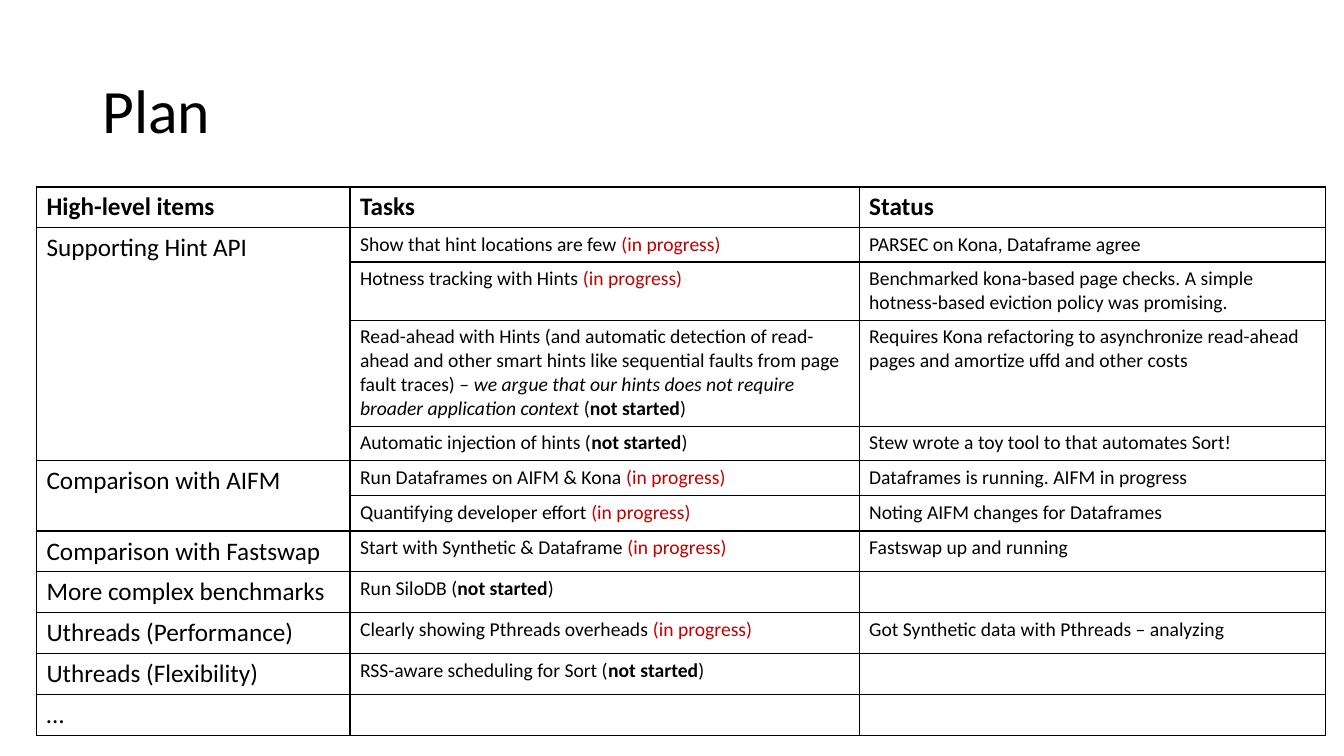
from pptx import Presentation
from pptx import util as u
from pptx.dml.color import RGBColor
from pptx.enum import text
from pptx.oxml import parse_xml
from pptx.oxml.ns import nsdecls

BLACK = RGBColor(0x00, 0x00, 0x00)
RED = RGBColor(0xC0, 0x00, 0x00)
FONT = "Calibri"

# Run styles
PLAIN, BOLD, ITALIC = {}, {"bold": True}, {"italic": True}
IN_PROGRESS = [("(in progress)", {"color": RED})]
NOT_STARTED = [("(", PLAIN), ("not started", BOLD), (")", PLAIN)]

# Content: high-level item, then its (task runs, status, row height in cm)
HEADINGS = ["High-level items", "Tasks", "Status"]
HEADING_HEIGHT = 1.03
COLUMN_WIDTHS = [7.9, 12.83, 11.76]
PLAN = [
    ("Supporting Hint API", [
        ([("Show that hint locations are few ", PLAIN)] + IN_PROGRESS,
         "PARSEC on Kona, Dataframe agree", 0.86),
        ([("Hotness tracking with Hints ", PLAIN)] + IN_PROGRESS,
         "Benchmarked kona-based page checks. A simple hotness-based "
         "eviction policy was promising.", 1.47),
        ([("Read-ahead with Hints (and automatic detection of read-ahead and "
           "other smart hints like sequential faults from page fault traces) – ", PLAIN),
          ("we argue that our hints does not require broader application context ",
           ITALIC)] + NOT_STARTED,
         "Requires Kona refactoring to asynchronize read-ahead pages and "
         "amortize uffd and other costs", 2.67),
        ([("Automatic injection of hints ", PLAIN)] + NOT_STARTED,
         "Stew wrote a toy tool to that automates Sort!", 0.86),
    ]),
    ("Comparison with AIFM", [
        ([("Run Dataframes on AIFM & Kona ", PLAIN)] + IN_PROGRESS,
         "Dataframes is running. AIFM in progress", 0.89),
        ([("Quantifying developer effort ", PLAIN)] + IN_PROGRESS,
         "Noting AIFM changes for Dataframes", 0.89),
    ]),
    ("Comparison with Fastswap", [
        ([("Start with Synthetic & Dataframe ", PLAIN)] + IN_PROGRESS,
         "Fastswap up and running", 1.03)]),
    ("More complex benchmarks", [
        ([("Run SiloDB ", PLAIN)] + NOT_STARTED, "", 1.03)]),
    ("Uthreads (Performance)", [
        ([("Clearly showing Pthreads overheads ", PLAIN)] + IN_PROGRESS,
         "Got Synthetic data with Pthreads – analyzing", 1.03)]),
    ("Uthreads (Flexibility)", [
        ([("RSS-aware scheduling for Sort ", PLAIN)] + NOT_STARTED, "", 1.03)]),
    ("…", [([], "", 1.03)]),
]


class PlanSlide:
    def __init__(self, deck):
        self.slide = deck.slides.add_slide(deck.slide_layouts[5])

    def add_runs(self, paragraph, runs, size):
        for words, style in runs:
            run = paragraph.add_run()
            run.text = words
            run.font.name = FONT
            run.font.size = u.Pt(size)
            run.font.bold = style.get("bold", False)
            run.font.italic = style.get("italic", False)
            run.font.color.rgb = style.get("color", BLACK)

    def title(self, words, left, top, width, height):
        title = self.slide.shapes.title
        title.left, title.top = u.Cm(left), u.Cm(top)
        title.width, title.height = u.Cm(width), u.Cm(height)
        frame = title.text_frame
        frame.auto_size = text.MSO_AUTO_SIZE.NONE
        frame.vertical_anchor = text.MSO_ANCHOR.MIDDLE
        paragraph = frame.paragraphs[0]
        paragraph.alignment = text.PP_ALIGN.LEFT
        paragraph.line_spacing = 0.9
        self.add_runs(paragraph, [(words, PLAIN)], 44)

    def table(self, left, top, widths, heights):
        table = self.slide.shapes.add_table(
            len(heights), len(widths), u.Cm(left), u.Cm(top),
            u.Cm(sum(widths)), u.Cm(sum(heights))).table
        table.first_row = table.horz_banding = False
        for column, width in zip(table.columns, widths):
            column.width = u.Cm(width)
        for row, height in zip(table.rows, heights):
            row.height = u.Cm(height)
        for cell in table.iter_cells():
            self.outline(cell)
        return table

    def outline(self, cell):
        properties = cell._tc.get_or_add_tcPr()
        for side in ("lnL", "lnR", "lnT", "lnB"):
            properties.append(parse_xml(
                f'<a:{side} {nsdecls("a")} w="{u.Pt(1)}"><a:solidFill>'
                f'<a:srgbClr val="{BLACK}"/></a:solidFill></a:{side}>'))
        cell.fill.background()

    def cell(self, cell, runs, size):
        self.add_runs(cell.text_frame.paragraphs[0], runs, size)


def main():
    deck = Presentation()
    deck.slide_width, deck.slide_height = u.Cm(33.87), u.Cm(19.05)
    page = PlanSlide(deck)
    page.title("Plan", 2.33, 1.01, 29.21, 3.68)

    # Table grid and heading row
    heights = [HEADING_HEIGHT] + [height for _, tasks in PLAN for *_, height in tasks]
    plan = page.table(0.92, 4.71, COLUMN_WIDTHS, heights)
    for column, heading in enumerate(HEADINGS):
        page.cell(plan.cell(0, column), [(heading, BOLD)], 18)

    # Items, each spanning the rows of its tasks
    row = 1
    for item, tasks in PLAN:
        item_cell = plan.cell(row, 0)
        if len(tasks) > 1:
            item_cell.merge(plan.cell(row + len(tasks) - 1, 0))
        page.cell(item_cell, [(item, PLAIN)], 18)
        for task, status, _ in tasks:
            page.cell(plan.cell(row, 1), task, 14)
            if status:
                page.cell(plan.cell(row, 2), [(status, PLAIN)], 14)
            row += 1

    deck.save("out.pptx")


if __name__ == "__main__":
    main()
